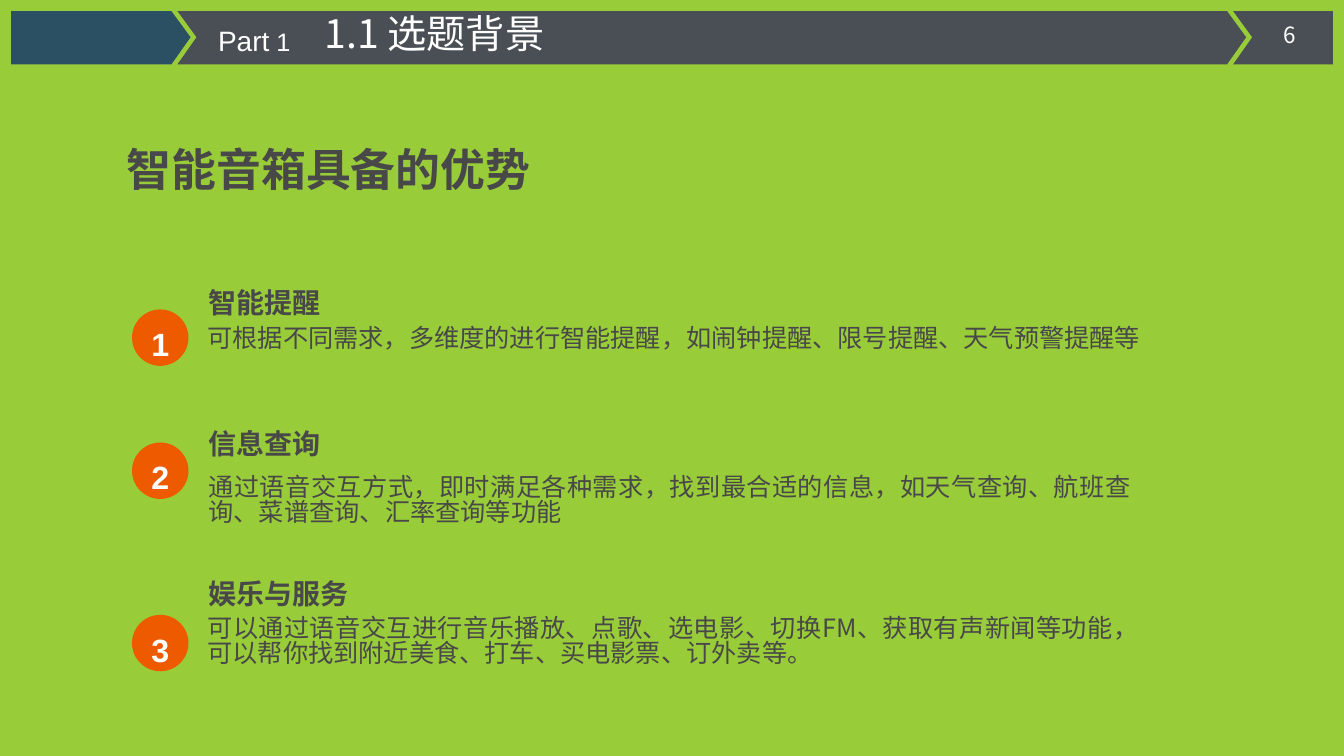
from lxml import etree
from pptx import Presentation
from pptx.dml.color import RGBColor
from pptx.enum.shapes import MSO_SHAPE
from pptx.enum.text import MSO_ANCHOR, PP_ALIGN
from pptx.oxml.ns import qn
from pptx.util import Inches, Pt

OVAL = MSO_SHAPE.OVAL
TOP = MSO_ANCHOR.TOP
LEFT, MID, RIGHT, FULL = PP_ALIGN.LEFT, PP_ALIGN.CENTER, PP_ALIGN.RIGHT, PP_ALIGN.JUSTIFY
NOTO, ARIAL = "Noto Sans CJK SC", "Arial"
WHITE, GREY, GREEN = "FFFFFF", "484849", "99CC39"
BLUE, SLATE, ORANGE = "2B5063", "494F54", "ED5A00"
BAR_TOP, BAR_MID, BAR_END = 0.11, 0.37, 0.64

POINTS = [
    (3.07, 2.82, 1.96, 3.2, 10.14, 0.4, "智能提醒",
     "可根据不同需求，多维度的进行智能提醒，如闹钟提醒、限号提醒、天气预警提醒等"),
    (4.39, 4.22, 1.97, 4.68, 9.35, 0.7, "信息查询",
     "通过语音交互方式，即时满足各种需求，找到最合适的信息，如天气查询、航班查询、菜谱查询、汇率查询等功能"),
    (6.1, 5.71, 1.96, 6.08, 9.43, 0.7, "娱乐与服务",
     "可以通过语音交互进行音乐播放、点歌、选电影、切换FM、获取有声新闻等功能，可以帮你找到附近美食、打车、买电影票、订外卖等。"),
]


def color(fmt, code):
    fmt.rgb = RGBColor.from_string(code)


def paint(shape, code):
    shape.shadow.inherit = False
    shape.fill.solid()
    color(shape.fill.fore_color, code)
    shape.line.fill.background()


def style(para, size, code, face, bold, align):
    para.alignment = align
    font = para.font
    font.size, font.bold, font.name = Pt(size), bold, face
    color(font.color, code)
    props = para._p.pPr.find(qn("a:defRPr"))
    etree.SubElement(props, qn("a:ea")).set("typeface", face)


def add_text(slide, x, y, w, h, text, size, code=WHITE, face=NOTO,
             bold=False, align=LEFT, pitch=0.9):
    box = slide.shapes.add_textbox(Inches(x), Inches(y), Inches(w), Inches(h))
    box.text_frame.word_wrap = True
    para = box.text_frame.paragraphs[0]
    para.text = text
    style(para, size, code, face, bold, align)
    para.line_spacing = pitch
    return para


def add_band(slide, code, *spots):
    dots = [(Inches(x), Inches(y)) for x, y in spots]
    path = slide.shapes.build_freeform(*dots[0], scale=1.0)
    path.add_line_segments(dots[1:], close=True)
    paint(path.convert_to_shape(), code)


def add_badge(slide, y, text):
    disc = slide.shapes.add_shape(OVAL, Inches(1.31), Inches(y), Inches(0.56), Inches(0.56))
    paint(disc, ORANGE)
    frame = disc.text_frame
    frame.vertical_anchor = TOP
    frame.margin_top = Inches(0.07)
    frame.margin_bottom = 0
    para = frame.paragraphs[0]
    para.text = text
    style(para, 23, WHITE, ARIAL, True, MID)


def add_header(slide):
    add_band(slide, BLUE, (0.11, BAR_TOP), (1.7, BAR_TOP), (1.89, BAR_MID),
             (1.7, BAR_END), (0.11, BAR_END))
    add_band(slide, SLATE, (1.76, BAR_TOP), (12.17, BAR_TOP), (12.36, BAR_MID),
             (12.17, BAR_END), (1.76, BAR_END), (1.95, BAR_MID))
    add_band(slide, SLATE, (12.23, BAR_TOP), (13.22, BAR_TOP), (13.22, BAR_END),
             (12.23, BAR_END), (12.42, BAR_MID))
    add_text(slide, 12.44, 0.19, 0.71, 0.37, "6", 16, align=MID)
    add_text(slide, 3.12, 0.1, 5.51, 0.57, "1.1 选题背景", 28)
    part = add_text(slide, 1.82, 0.18, 1.16, 0.44, "Part", 20, face=ARIAL,
                    align=RIGHT, pitch=1.0)
    number = part.add_run()
    number.text = " 1"
    number.font.size = Pt(18)


def main():
    deck = Presentation()
    deck.slide_width, deck.slide_height = Inches(13.33), Inches(7.5)
    slide = deck.slides.add_slide(deck.slide_layouts[6])
    slide.background.fill.solid()
    color(slide.background.fill.fore_color, GREEN)
    add_header(slide)
    add_text(slide, 1.16, 1.42, 5.63, 0.64, "智能音箱具备的优势", 32, GREY, bold=True)
    for index, (disc, head, x, y, w, h, title, body) in enumerate(POINTS, 1):
        add_badge(slide, disc, str(index))
        add_text(slide, 1.97, head, 4.15, 0.43, title, 20, GREY, bold=True)
        add_text(slide, x, y, w, h, body, 18, GREY, align=FULL, pitch=0.82)
    deck.save("out.pptx")


if __name__ == "__main__":
    main()
